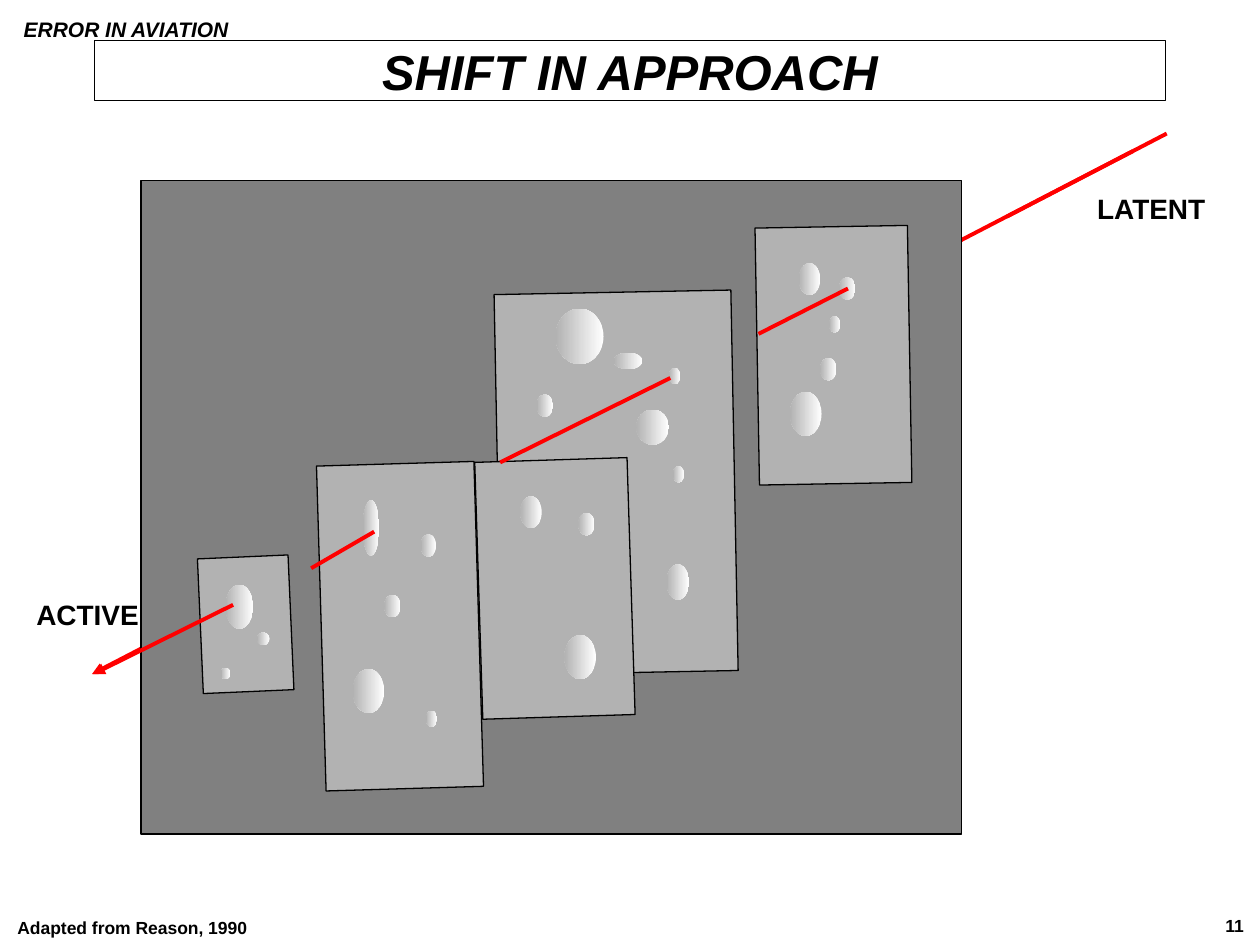
from lxml.etree import SubElement
from pptx import Presentation
from pptx.dml.color import RGBColor
from pptx.enum.shapes import MSO_CONNECTOR, MSO_SHAPE
from pptx.enum.text import MSO_ANCHOR, PP_ALIGN
from pptx.oxml.ns import qn
from pptx.util import Inches, Pt

COLOURS = {
    "text": "000000",
    "outline": "000000",
    "backdrop": "808080",
    "sheet": "B2B2B2",
    "hole_light": "FFFFFF",
    "hole_dark": "B2B2B2",
    "path": "FF0000",
}
RGB = {name: RGBColor.from_string(value) for name, value in COLOURS.items()}

presentation = Presentation()
presentation.slide_width = Inches(10)
presentation.slide_height = Inches(7.5)
slide = presentation.slides.add_slide(presentation.slide_layouts[6])


def add_outlined(kind, box, fill=None, line_width=None, rotation=0):
    """Add a preset shape; without fill or line width that part is left off."""
    shape = slide.shapes.add_shape(kind, *map(Inches, box))
    shape.shadow.inherit = False
    shape.rotation = rotation
    if fill:
        shape.fill.solid()
        shape.fill.fore_color.rgb = RGB[fill]
    else:
        shape.fill.background()
    if line_width:
        shape.line.color.rgb = RGB["outline"]
        shape.line.width = Pt(line_width)
    else:
        shape.line.fill.background()
    return shape


def write(shape, text, alignment, **font_format):
    frame = shape.text_frame
    paragraph = frame.paragraphs[0]
    paragraph.alignment = alignment
    run = paragraph.add_run()
    run.text = text
    for name, value in {"name": "Arial", "bold": True, **font_format}.items():
        setattr(run.font, name, value)
    run.font.color.rgb = RGB["text"]


# Sheets from back to front: box, rotation, holes
sheets = [
    ((3.95, 2.32, 1.88, 3.02), 358.9, [
        (4.41, 2.45, 0.38, 0.44), (4.87, 2.8, 0.23, 0.13),
        (4.2, 3.93, 0.25, 0.35), (4.78, 4.26, 0.09, 0.13),
        (4.26, 3.13, 0.13, 0.18), (5.31, 2.92, 0.09, 0.13),
        (5.34, 3.7, 0.09, 0.13), (5.29, 4.48, 0.18, 0.28),
        (5.05, 3.25, 0.26, 0.28)]),
    ((3.8, 3.65, 1.21, 2.04), 358.2, [
        (4.13, 3.94, 0.17, 0.25), (3.53, 4.26, 0.12, 0.18),
        (4.48, 5.04, 0.25, 0.35), (4.59, 4.07, 0.13, 0.18)]),
    ((6.01, 1.8, 1.21, 2.04), 359, [
        (6.34, 2.09, 0.17, 0.25), (6.51, 2.84, 0.13, 0.18),
        (6.27, 3.11, 0.25, 0.35), (6.58, 2.51, 0.09, 0.13),
        (6.66, 2.2, 0.13, 0.18)]),
    ((2.55, 3.68, 1.25, 2.58), 358.3, [
        (2.88, 3.97, 0.13, 0.44), (3.05, 4.72, 0.13, 0.18),
        (2.8, 5.31, 0.25, 0.35), (3.38, 5.64, 0.09, 0.13),
        (3.34, 4.24, 0.12, 0.18)]),
    ((1.59, 4.42, 0.72, 1.07), 357.5, [
        (1.79, 4.64, 0.22, 0.35), (1.75, 5.3, 0.08, 0.09),
        (2.04, 5.02, 0.1, 0.1)]),
]

# Path through the holes: start, end, arrowhead at the end
hidden_path = [
    ((9.26, 1.06), (7.99, 1.72), False),
    ((2.08, 4.65), (0.73, 5.35), True),
    ((8.99, 1.2), (7.37, 2.04), False),
]
visible_path = [
    ((6.73, 2.29), (6.02, 2.65), False),
    ((5.32, 3), (3.97, 3.67), False),
    ((2.97, 4.22), (2.47, 4.51), False),
    ((1.85, 4.8), (0.74, 5.35), True),
]

# The backdrop covers the first path segments, the others lie on the sheets
for segments in (hidden_path, visible_path):
    for start, end, has_arrowhead in segments:
        connector = slide.shapes.add_connector(
            MSO_CONNECTOR.STRAIGHT, *map(Inches, start + end))
        connector.line.color.rgb = RGB["path"]
        connector.line.width = Pt(2.25)
        if has_arrowhead:
            line = connector.line._get_or_add_ln()
            SubElement(line, qn("a:tailEnd"), type="triangle")
        SubElement(connector._element.spPr, qn("a:effectLst"))

    if segments is hidden_path:
        add_outlined(MSO_SHAPE.RECTANGLE, (1.12, 1.43, 6.51, 5.19), "backdrop", 0.75)
        for box, rotation, holes in sheets:
            add_outlined(MSO_SHAPE.RECTANGLE, box, "sheet", 0.75, rotation)
            for hole in holes:
                ellipse = add_outlined(MSO_SHAPE.OVAL, hole)
                ellipse.fill.gradient()
                ellipse.fill.gradient_angle = 180
                for stop, name in zip(ellipse.fill.gradient_stops,
                                      ("hole_light", "hole_dark")):
                    stop.color.rgb = RGB[name]

title = add_outlined(MSO_SHAPE.RECTANGLE, (0.75, 0.32, 8.5, 0.48), line_width=0.5)
title.text_frame.vertical_anchor = MSO_ANCHOR.MIDDLE
write(title, "SHIFT IN APPROACH", PP_ALIGN.CENTER, size=Pt(28), italic=True)

# Labels: text, box, wraps, alignment, font format
labels = [
    ("Adapted from Reason, 1990", (0.04, 7.23, 2.23, 0.27), True,
     PP_ALIGN.LEFT, {"size": Pt(10)}),
    ("LATENT", (8.61, 1.47, 1.07, 0.37), False, PP_ALIGN.LEFT, {"size": Pt(16)}),
    ("ACTIVE", (0.19, 4.69, 1.01, 0.37), False, PP_ALIGN.LEFT, {"size": Pt(16)}),
    ("ERROR IN AVIATION", (0.09, 0.08, 1.86, 0.3), False,
     PP_ALIGN.LEFT, {"size": Pt(12), "italic": True}),
    ("11", (9.6, 7.21, 0.37, 0.25), True, PP_ALIGN.RIGHT, {"size": Pt(10)}),
]
for text, box, wraps, alignment, font_format in labels:
    label = slide.shapes.add_textbox(*map(Inches, box))
    label.text_frame.word_wrap = wraps
    write(label, text, alignment, **font_format)

presentation.save("out.pptx")
